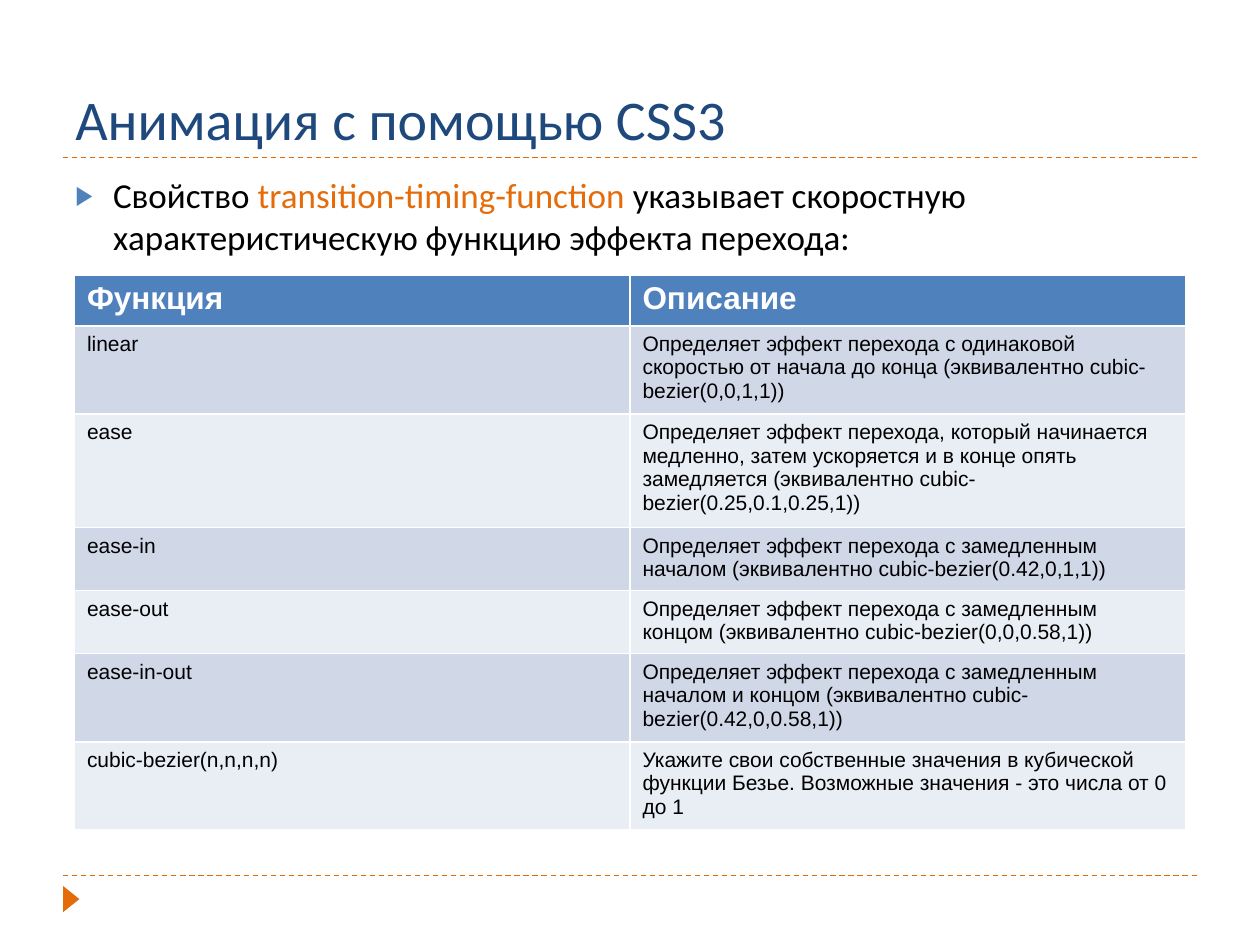
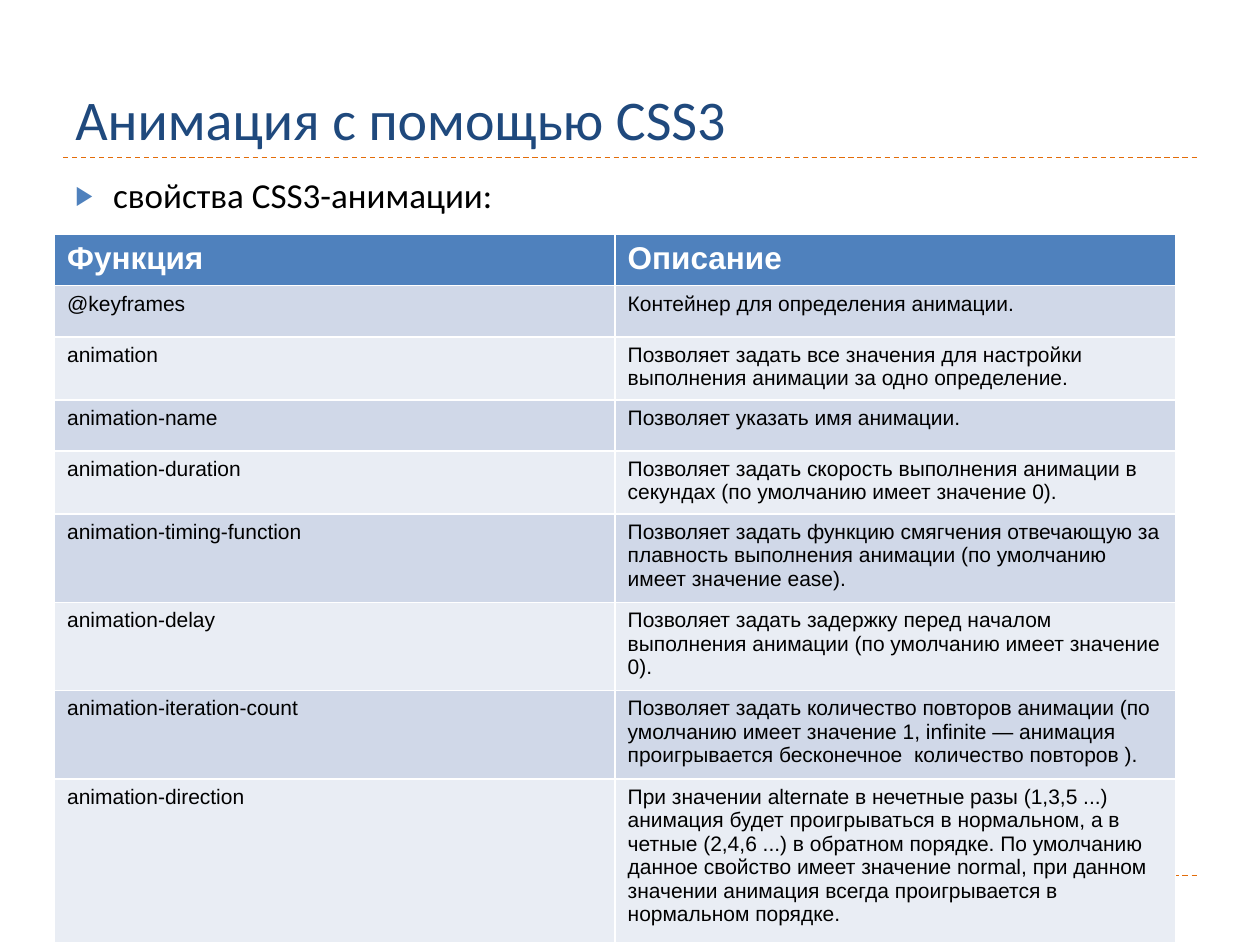
"""Builds two slides on CSS3 animation, each with a lead sentence and a reference table."""
from lxml import etree
from pptx import Presentation
from pptx.dml.color import RGBColor
from pptx.enum.dml import MSO_LINE
from pptx.enum.shapes import MSO_CONNECTOR, MSO_SHAPE
from pptx.enum.text import MSO_ANCHOR
from pptx.oxml.ns import qn
from pptx.util import Cm, Pt

STRAIGHT = MSO_CONNECTOR.STRAIGHT
TRIANGLE = MSO_SHAPE.ISOSCELES_TRIANGLE
DASH = MSO_LINE.DASH
TOP, BOTTOM = MSO_ANCHOR.TOP, MSO_ANCHOR.BOTTOM

NAVY, BLUE, ORANGE, HIGHLIGHT = "1F497D", "4F81BD", "E36C09", "E46C0A"
BLACK, WHITE = "000000", "FFFFFF"
BANDS = ("D0D8E8", "E9EDF4")
HEADING_FONT, TABLE_FONT = "Calibri", "Arial"

MARGIN, CONTENT_WIDTH = 1.27, 22.86
RULES = (17.65, 3.18)
ROW_HEIGHT = 1.03

TITLE = "Анимация с помощью CSS3"
HEADER = ("Функция", "Описание")

SLIDES = [
    {
        "lead": [
            ("Свойство", BLACK),
            (" transition-timing-function ", HIGHLIGHT),
            ("указывает скоростную характеристическую функцию эффекта перехода:", BLACK),
        ],
        "left": 1.5, "top": 5.54, "column": 11.2,
        "rows": [
            ("linear", "Определяет эффект перехода с одинаковой скоростью от начала "
                       "до конца (эквивалентно cubic-bezier(0,0,1,1))"),
            ("ease", "Определяет эффект перехода, который начинается медленно, затем "
                     "ускоряется и в конце опять замедляется (эквивалентно "
                     "cubic-bezier(0.25,0.1,0.25,1))"),
            ("ease-in", "Определяет эффект перехода с замедленным началом "
                        "(эквивалентно cubic-bezier(0.42,0,1,1))"),
            ("ease-out", "Определяет эффект перехода с замедленным концом "
                         "(эквивалентно cubic-bezier(0,0,0.58,1))"),
            ("ease-in-out", "Определяет эффект перехода с замедленным началом и концом "
                            "(эквивалентно cubic-bezier(0.42,0,0.58,1))"),
            ("cubic-bezier(n,n,n,n)", "Укажите свои собственные значения в кубической "
                                      "функции Безье. Возможные значения - это числа "
                                      "от 0 до 1"),
        ],
    },
    {
        "lead": [("свойства CSS3-анимации:", BLACK)],
        "left": 1.1, "top": 4.73, "column": 11.3,
        "rows": [
            ("@keyframes", "Контейнер для определения анимации."),
            ("animation", "Позволяет задать все значения для настройки выполнения "
                          "анимации за одно определение."),
            ("animation-name", "Позволяет указать имя анимации."),
            ("animation-duration", "Позволяет задать скорость выполнения анимации в "
                                   "секундах (по умолчанию имеет значение 0)."),
            ("animation-timing-function", "Позволяет задать функцию смягчения отвечающую "
                                          "за плавность выполнения анимации (по умолчанию "
                                          "имеет значение ease)."),
            ("animation-delay", "Позволяет задать задержку перед началом выполнения "
                                "анимации (по умолчанию имеет значение 0)."),
            ("animation-iteration-count", "Позволяет задать количество повторов анимации "
                                          "(по умолчанию имеет значение 1, infinite — "
                                          "анимация проигрывается бесконечное  количество "
                                          "повторов )."),
            ("animation-direction", "При значении alternate в нечетные разы (1,3,5 ...) "
                                    "анимация будет проигрываться в нормальном, а в четные "
                                    "(2,4,6 ...) в обратном порядке. По умолчанию данное "
                                    "свойство имеет значение normal, при данном значении "
                                    "анимация всегда проигрывается в нормальном порядке."),
        ],
    },
]


def paint(target, color):
    if hasattr(target, "solid"):
        target.solid()
        target = target.fore_color
    target.rgb = RGBColor.from_string(color)


def style(font, name, size, color=None, bold=False):
    font.name, font.size, font.bold = name, Pt(size), bold
    if color:
        paint(font.color, color)


def add_frame(slide):
    for height in RULES:
        rule = slide.shapes.add_connector(
            STRAIGHT, Cm(MARGIN), Cm(height), Cm(MARGIN + CONTENT_WIDTH), Cm(height))
        paint(rule.line.fill, ORANGE)
        rule.line.width = Pt(0.75)
        rule.line.dash_style = DASH
        etree.SubElement(rule._element.spPr, qn("a:effectLst"))
    marker = slide.shapes.add_shape(TRIANGLE, Cm(1.17), Cm(17.96), Cm(0.53), Cm(0.33))
    marker.rotation = 90
    marker.shadow.inherit = False
    paint(marker.fill, ORANGE)
    marker.line.fill.background()


def add_paragraph_box(slide, top, height, anchor):
    box = slide.shapes.add_textbox(Cm(MARGIN), Cm(top), Cm(CONTENT_WIDTH), Cm(height))
    box.text_frame.word_wrap = True
    box.text_frame.vertical_anchor = anchor
    return box.text_frame.paragraphs[0]


def add_title(slide):
    title = add_paragraph_box(slide, 0.43, 2.75, BOTTOM)
    title.text = TITLE
    style(title.font, HEADING_FONT, 32, NAVY)


def add_bullet(paragraph, indent):
    properties = paragraph._p.get_or_add_pPr()
    properties.set("marL", str(Cm(indent)))
    properties.set("indent", str(-Cm(indent)))
    color = etree.SubElement(properties, qn("a:buClr"))
    etree.SubElement(color, qn("a:srgbClr"), val=BLUE)
    etree.SubElement(properties, qn("a:buSzPct"), val="76000")
    etree.SubElement(properties, qn("a:buFont"), typeface=TABLE_FONT)
    etree.SubElement(properties, qn("a:buChar"), char="▶")


def add_lead(slide, parts):
    lead = add_paragraph_box(slide, 3.38, 13.72, TOP)
    lead.space_before = Pt(6)
    add_bullet(lead, 0.76)
    style(lead.font, HEADING_FONT, 20)
    for words, color in parts:
        run = lead.add_run()
        run.text = words
        paint(run.font.color, color)


def add_reference(slide, left, top, column, rows):
    lines = [HEADER, *rows]
    table = slide.shapes.add_table(
        len(lines), len(HEADER), Cm(left), Cm(top),
        Cm(column * len(HEADER)), Cm(ROW_HEIGHT * len(lines))).table
    for row_index, line in enumerate(lines):
        table.rows[row_index].height = Cm(ROW_HEIGHT)
        is_header = row_index == 0
        fill = BLUE if is_header else BANDS[(row_index - 1) % 2]
        size, color = (18, WHITE) if is_header else (12, BLACK)
        for column_index, words in enumerate(line):
            cell = table.cell(row_index, column_index)
            cell.text = words
            paint(cell.fill, fill)
            style(cell.text_frame.paragraphs[0].font, TABLE_FONT, size, color, is_header)


def main():
    deck = Presentation()
    deck.slide_width, deck.slide_height = Cm(25.4), Cm(19.05)
    for content in SLIDES:
        slide = deck.slides.add_slide(deck.slide_layouts[6])
        add_frame(slide)
        add_title(slide)
        add_lead(slide, content["lead"])
        add_reference(slide, content["left"], content["top"], content["column"],
                      content["rows"])
    deck.save("out.pptx")


if __name__ == "__main__":
    main()
